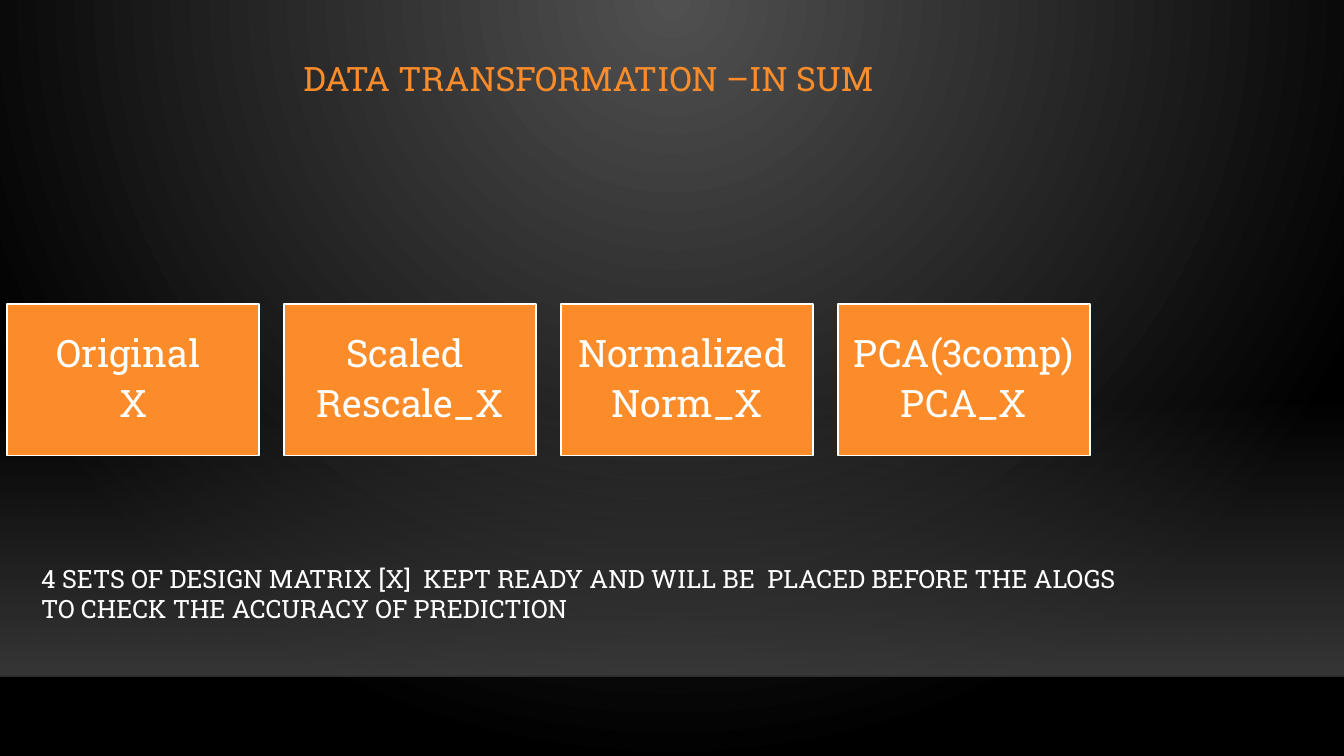
from dataclasses import dataclass

from lxml.etree import SubElement
from pptx import Presentation
from pptx.dml.color import RGBColor
from pptx.enum.shapes import MSO_CONNECTOR, MSO_SHAPE
from pptx.enum.text import MSO_ANCHOR, PP_ALIGN
from pptx.oxml.ns import qn
from pptx.util import Cm, Pt


@dataclass(frozen=True)
class Theme:
    font: str = "Roboto Slab"
    orange: str = "FB8C29"
    white: str = "FFFFFF"
    glow: str = "505050"
    black: str = "000000"
    floor: str = "454545"
    horizon: str = "000001"
    title_size: float = 24
    box_size: float = 27
    note_size: float = 18


THEME = Theme()
WIDTH, HEIGHT = Cm(33.87), Cm(19.05)
HORIZON_TOP = 17.04
FLOOR_HEIGHT = 6.96
BOX_LEFT, BOX_TOP, BOX_PITCH = 0.18, 7.67, 6.98
BOX_WIDTH, BOX_HEIGHT = 6.35, 3.81
MATRICES = [
    "Original \nX",
    "Scaled \nRescale_X",
    "Normalized \nNorm_X",
    "PCA(3comp)\nPCA_X",
]


def color(value):
    return RGBColor.from_string(value)


def set_alpha(color_element, percent):
    SubElement(color_element, qn("a:alpha")).set("val", str(percent * 1000))


def set_gradient(fill, *stop_colors):
    fill.gradient()
    for stop, value in zip(fill.gradient_stops, stop_colors):
        stop.color.rgb = color(value)


def paint_background(page):
    """Radial glow that starts at the middle of the top edge."""
    set_gradient(page.background.fill, THEME.glow, THEME.black)
    gradient = page.element.find(".//" + qn("a:gradFill"))
    gradient.remove(gradient.find(qn("a:lin")))
    circle = SubElement(gradient, qn("a:path"), path="circle")
    SubElement(circle, qn("a:fillToRect"), l="43000", t="0", r="43000", b="100000")


def add_floor(page):
    """Band that fades in downwards and ends at the horizon line."""
    floor = page.shapes.add_shape(
        MSO_SHAPE.RECTANGLE, 0, Cm(HORIZON_TOP - FLOOR_HEIGHT), WIDTH, Cm(FLOOR_HEIGHT)
    )
    floor.shadow.inherit = False
    floor.line.fill.background()
    set_gradient(floor.fill, THEME.floor, THEME.floor)
    floor.fill.gradient_angle = 270
    stops = floor.element.find(".//" + qn("a:gsLst"))
    for stop, percent in zip(stops, (0, 80)):
        set_alpha(stop[0], percent)

    horizon = page.shapes.add_connector(
        MSO_CONNECTOR.STRAIGHT, 0, Cm(HORIZON_TOP), WIDTH, Cm(HORIZON_TOP)
    )
    horizon.line.width = Pt(1)
    horizon.line.color.rgb = color(THEME.horizon)
    set_alpha(horizon.element.find(".//" + qn("a:srgbClr")), 20)
    SubElement(horizon.element.spPr, qn("a:effectLst"))


def write(frame, text, size, text_color, align, spacing=1.0, after=0):
    frame.word_wrap = True
    frame.text = text
    for para in frame.paragraphs:
        para.alignment = align
        para.line_spacing = spacing
        para.space_after = Pt(after)
        for span in para.runs:
            span.font.name = THEME.font
            span.font.size = Pt(size)
            span.font.color.rgb = color(text_color)


def add_text(page, left, top, width, height):
    box = page.shapes.add_textbox(Cm(left), Cm(top), Cm(width), Cm(height))
    return box.text_frame


def add_matrix_box(page, index, text):
    box = page.shapes.add_shape(
        MSO_SHAPE.RECTANGLE,
        Cm(BOX_LEFT + index * BOX_PITCH), Cm(BOX_TOP), Cm(BOX_WIDTH), Cm(BOX_HEIGHT),
    )
    box.shadow.inherit = False
    box.fill.solid()
    box.fill.fore_color.rgb = color(THEME.orange)
    box.line.color.rgb = color(THEME.white)
    box.line.width = Pt(1.25)
    frame = box.text_frame
    frame.vertical_anchor = MSO_ANCHOR.MIDDLE
    frame.margin_left = frame.margin_right = Cm(0.28)
    frame.margin_top = frame.margin_bottom = Cm(0.28)
    write(frame, text, THEME.box_size, THEME.white, PP_ALIGN.CENTER, 0.9, 6.5)


def main():
    deck = Presentation()
    deck.slide_width, deck.slide_height = WIDTH, HEIGHT
    page = deck.slides.add_slide(deck.slide_layouts[6])
    paint_background(page)
    add_floor(page)

    title = add_text(page, 0.15, 1.14, 29.36, 1.8)
    title.vertical_anchor = MSO_ANCHOR.MIDDLE
    write(title, "DATA TRANSFORMATION –IN SUM", THEME.title_size, THEME.orange,
          PP_ALIGN.CENTER, 0.9)

    for index, text in enumerate(MATRICES):
        add_matrix_box(page, index, text)

    note = add_text(page, 0.79, 14.07, 27.86, 1.8)
    write(note, "4 SETS OF DESIGN MATRIX [X]  KEPT READY AND WILL BE  PLACED BEFORE "
          "THE ALOGS TO CHECK THE ACCURACY OF PREDICTION",
          THEME.note_size, THEME.white, PP_ALIGN.LEFT)

    deck.save("out.pptx")


if __name__ == "__main__":
    main()
